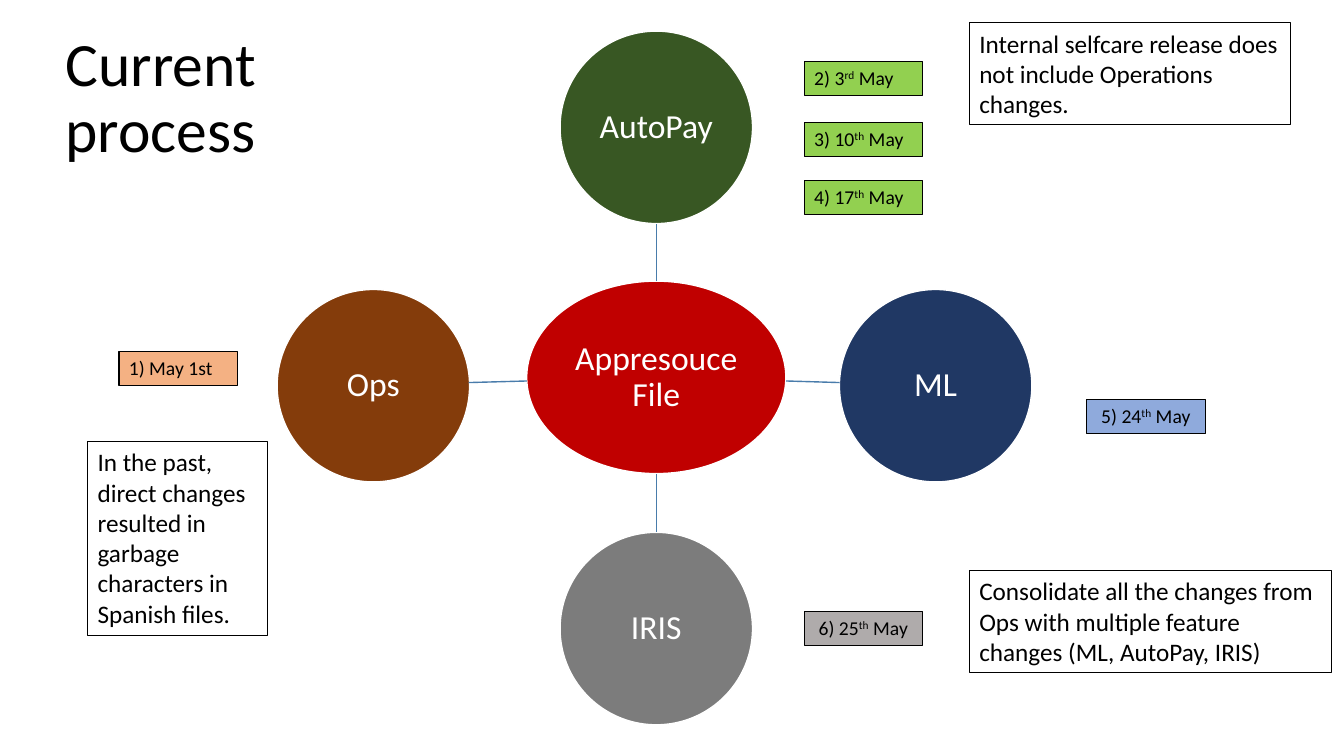
from lxml import etree
from pptx import Presentation
from pptx.dml.color import RGBColor
from pptx.enum.shapes import MSO_CONNECTOR, MSO_SHAPE
from pptx.enum.text import MSO_ANCHOR, MSO_AUTO_SIZE, PP_ALIGN
from pptx.oxml.ns import qn
from pptx.util import Cm, Pt

OVAL, RECT = MSO_SHAPE.OVAL, MSO_SHAPE.RECTANGLE
STRAIGHT = MSO_CONNECTOR.STRAIGHT
TOP, MIDDLE = MSO_ANCHOR.TOP, MSO_ANCHOR.MIDDLE
LEFT, CENTER = PP_ALIGN.LEFT, PP_ALIGN.CENTER
FIT = MSO_AUTO_SIZE.SHAPE_TO_FIT_TEXT
FONT = "Calibri"
BLACK, WHITE = "000000", "FFFFFF"


def rgb(value):
    return RGBColor.from_string(value)


def add_box(kind, x, y, w, h, fill, line, line_width):
    """Add a wrapped, shadowless shape with a hex fill (None for no fill)."""
    sp = s.shapes.add_shape(kind, Cm(x), Cm(y), Cm(w), Cm(h))
    sp.shadow.inherit = False
    if fill:
        sp.fill.solid()
        sp.fill.fore_color.rgb = rgb(fill)
    else:
        sp.fill.background()
    sp.line.color.rgb = rgb(line)
    sp.line.width = Pt(line_width)
    sp.text_frame.word_wrap = True
    return sp


prs = Presentation()
prs.slide_width, prs.slide_height = Cm(33.87), Cm(19.05)
s = prs.slides.add_slide(prs.slide_layouts[6])

# Hub and the four systems around it: text, centre x, centre y, width, fill
SYSTEM_SIZE = 4.85
systems = [
    ("Appresouce File", 16.54, 9.51, 6.53, "C00000"),
    ("AutoPay", 16.54, 3.21, SYSTEM_SIZE, "385723"),
    ("ML", 23.58, 9.72, SYSTEM_SIZE, "203864"),
    ("IRIS", 16.54, 15.84, SYSTEM_SIZE, "7C7C7C"),
    ("Ops", 9.41, 9.72, SYSTEM_SIZE, "843C0B"),
]
for text, cx, cy, w, fill in systems:
    sp = add_box(OVAL, cx - w / 2, cy - SYSTEM_SIZE / 2, w, SYSTEM_SIZE, fill, WHITE, 1)
    tf = sp.text_frame
    tf.vertical_anchor = MIDDLE
    tf.margin_left = tf.margin_right = tf.margin_top = tf.margin_bottom = Cm(0.05)
    p = tf.paragraphs[0]
    p.text = text
    p.alignment = CENTER
    p.line_spacing = 0.9
    p.font.name, p.font.size = FONT, Pt(24)
    p.font.color.rgb = rgb(WHITE)

# Spokes from the hub to each system: start x, start y, end x, end y
spokes = [
    (16.54, 7.09, 16.54, 5.64),
    (19.81, 9.6, 21.16, 9.64),
    (16.54, 11.94, 16.54, 13.41),
    (13.28, 9.6, 11.81, 9.64),
]
for ends in spokes:
    spoke = s.shapes.add_connector(STRAIGHT, *map(Cm, ends))
    spoke.line.color.rgb = rgb("497CAB")
    spoke.line.width = Pt(1)
    etree.SubElement(spoke._element.spPr, qn("a:effectLst"))

# Dates and notes: x, y, width, height, fill, size, text, superscript, rest
DATE_W, DATE_H = 2.98, 0.86
labels = [
    (3, 8.85, DATE_W, DATE_H, "F4B183", 14, "1) May 1st", "", ""),
    (20.27, 1.54, DATE_W, DATE_H, "92D050", 14, "2) 3", "rd", " May"),
    (20.27, 3.08, DATE_W, DATE_H, "92D050", 14, "3) 10", "th", " May"),
    (20.27, 4.54, DATE_W, DATE_H, "92D050", 14, "4) 17", "th", " May"),
    (27.39, 10.06, DATE_W, DATE_H, "8FAADC", 14, " 5) 24", "th", " May"),
    (20.27, 15.4, DATE_W, DATE_H, "AFABAB", 14, " 6) 25", "th", " May"),
    (2.21, 11.13, 4.53, 4.88, None, 18,
     "In the past, direct changes resulted in garbage characters in Spanish files.", "", ""),
    (24.43, 0.58, 8.09, 2.57, None, 18,
     "Internal selfcare release does not include Operations changes.", "", ""),
    (24.43, 14.38, 9.13, 2.57, None, 18,
     "Consolidate all the changes from Ops with multiple feature changes (ML, AutoPay, IRIS)",
     "", ""),
]
for x, y, w, h, fill, size, text, superscript, rest in labels:
    tf = add_box(RECT, x, y, w, h, fill, BLACK, 0.75).text_frame
    tf.auto_size = FIT
    tf.vertical_anchor = TOP
    p = tf.paragraphs[0]
    p.alignment = LEFT
    p.font.name, p.font.size = FONT, Pt(size)
    p.font.color.rgb = rgb(BLACK)
    for part in filter(None, (text, superscript, rest)):
        r = p.add_run()
        r.text = part
        if part == superscript:
            r.font._element.set("baseline", "30000")

title = s.shapes.add_textbox(Cm(1.4), Cm(0.71), Cm(8.61), Cm(3.99))
tf = title.text_frame
tf.word_wrap = True
tf.text = "Current\nprocess"
for p in tf.paragraphs:
    p.line_spacing = 0.9
    p.font.name, p.font.size = FONT, Pt(44)
    p.font.color.rgb = rgb(BLACK)

prs.save("out.pptx")
